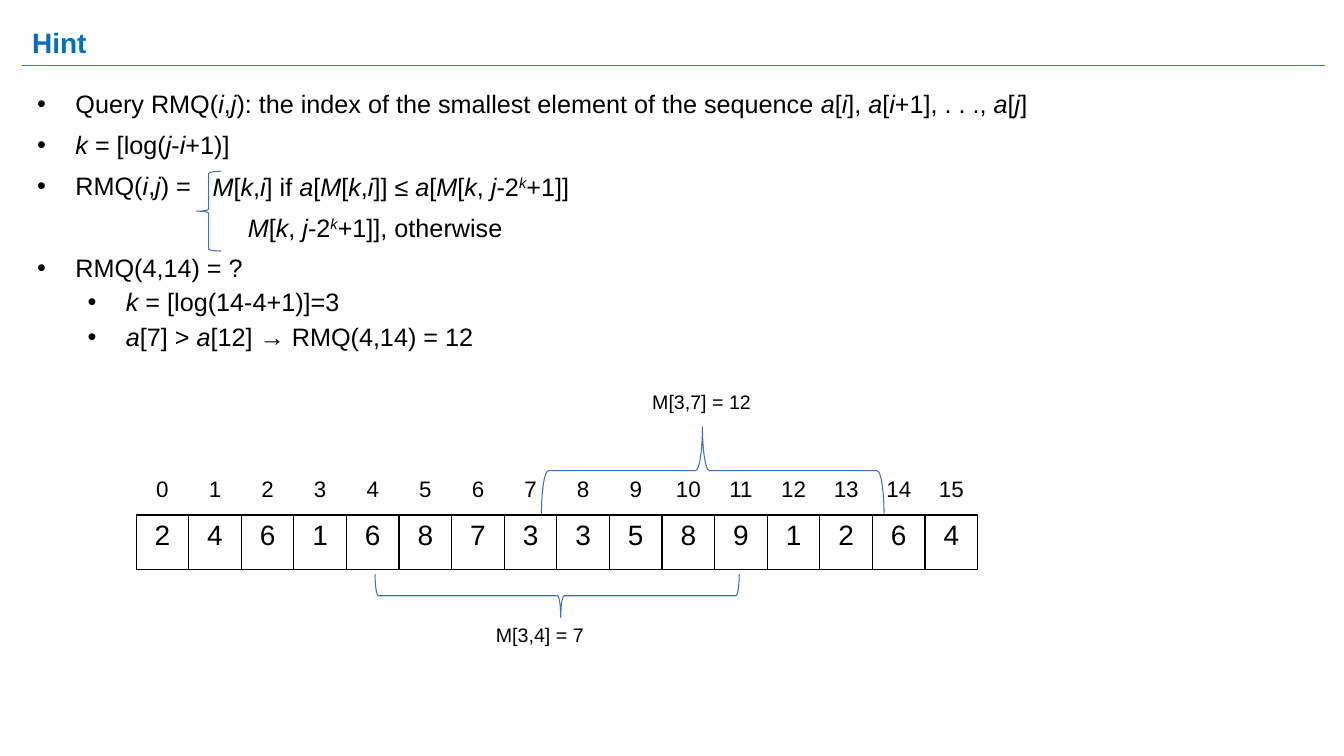
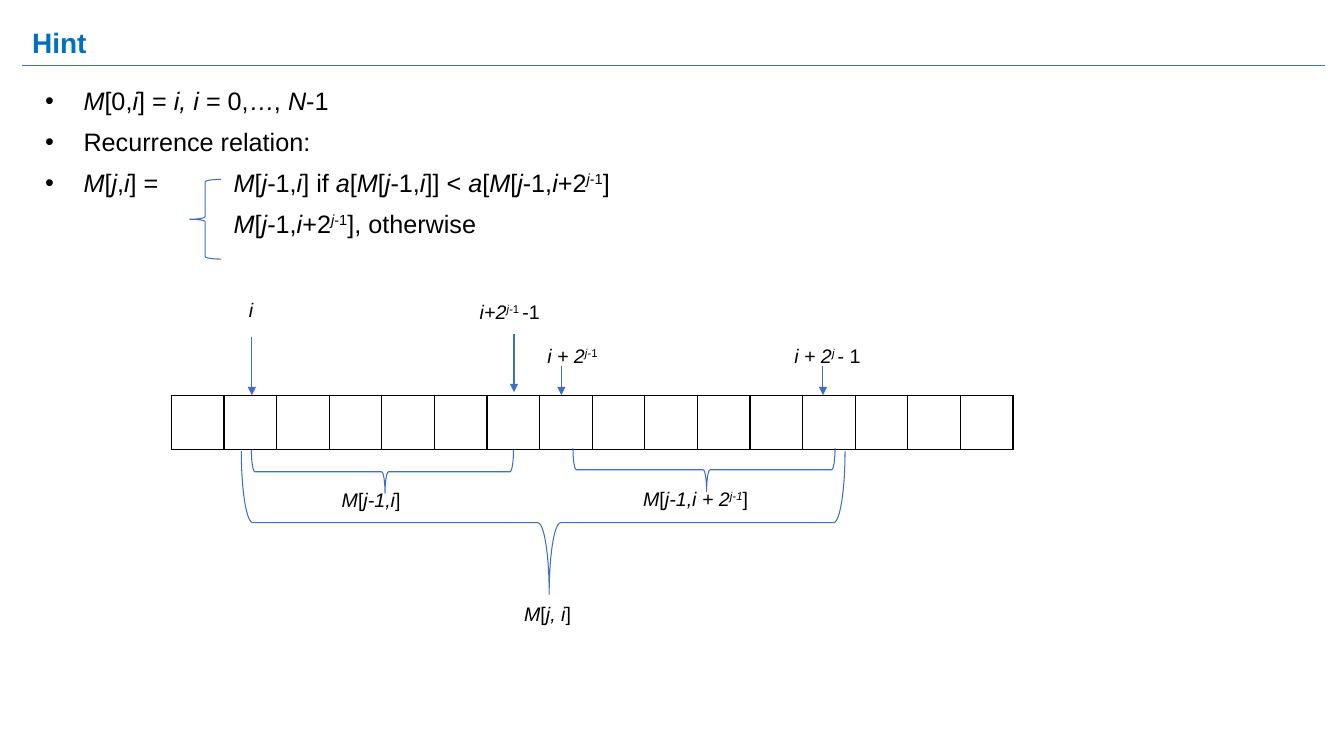
import lxml.etree
import pptx
import pptx.dml.color
import pptx.enum.shapes
import pptx.enum.text
import pptx.oxml.ns
import pptx.util

COLORS = {"title": "0070C0", "text": "000000", "rule": "4472C4", "brace": "3F6FC3"}
FONT = "Arial"
SHAPE = pptx.enum.shapes.MSO_SHAPE
CENTER = pptx.enum.text.PP_ALIGN.CENTER
MIDDLE = pptx.enum.text.MSO_ANCHOR.MIDDLE
ROWS = 75
CELLS, CELL_W = 16, 5.22
BODY_SIZE, LABEL_SIZE = 18, 14


def rgb(name):
    """Return the named colour."""
    return pptx.dml.color.RGBColor.from_string(COLORS[name])


def sub(parent, tag, **attrs):
    """Append a drawing element to parent."""
    return lxml.etree.SubElement(parent, pptx.oxml.ns.qn("a:" + tag), attrs)


class Deck:
    """Hold the style and the current slide on a grid 75 rows high with square cells."""

    def __init__(self):
        """Open a wide presentation."""
        self.prs = pptx.Presentation()
        self.prs.slide_width = pptx.util.Inches(13.33)
        self.prs.slide_height = pptx.util.Inches(7.5)
        self.unit = self.prs.slide_height / ROWS

    def grid(self, *lengths):
        """Convert grid lengths to EMU."""
        return [pptx.util.Emu(round(n * self.unit)) for n in lengths]

    def slide(self, title):
        """Start a slide with its title and rule."""
        self.s = self.prs.slides.add_slide(self.prs.slide_layouts[6])
        tf = self.frame(2.2, 1.5, 129.2, 5.9)
        tf.vertical_anchor = MIDDLE
        p = self.para(tf, title, 20, "title", bold=True)
        p.line_spacing = 0.9
        self.line(2.2, 6.5, 131.4, 6.5, "rule")

    def frame(self, x, y, w, h):
        """Add a wrapping text box and return its text frame."""
        tf = self.s.shapes.add_textbox(*self.grid(x, y, w, h)).text_frame
        tf.word_wrap = True
        return tf

    def para(self, tf, text, size, color="text", bold=False):
        """Add a paragraph in which * toggles italic and ^ toggles superscript."""
        p = tf.paragraphs[0]
        if p.runs:
            p = tf.add_paragraph()
        raised = False
        for n, part in enumerate(text.split("*")):
            for m, piece in enumerate(part.split("^")):
                raised ^= m > 0
                if piece:
                    r = p.add_run()
                    r.text = piece
                    r.font.name, r.font.size = FONT, pptx.util.Pt(size)
                    r.font.bold, r.font.italic = bold, n % 2 == 1
                    r.font.color.rgb = rgb(color)
                    if raised:
                        r.font._element.set("baseline", "30000")
        return p

    def body(self, tf, text, before=10, margin=0, bullet=False):
        """Add a body paragraph, indented and bulleted as asked."""
        p = self.para(tf, text, BODY_SIZE)
        p.line_spacing, p.space_before = 0.9, pptx.util.Pt(before)
        pPr = p._p.get_or_add_pPr()
        pPr.set("marL", str(pptx.util.Inches(margin)))
        if bullet:
            pPr.set("indent", str(pptx.util.Inches(-0.38)))
            sub(sub(pPr, "buClr"), "srgbClr", val=COLORS["text"])
            sub(pPr, "buFont", typeface=FONT)
            sub(pPr, "buChar", char="•")

    def bullets(self, x, y, w, h, items):
        """Add a list of (text, level, space before)."""
        tf = self.frame(x, y, w, h)
        for text, level, before in items:
            self.body(tf, text, before, 0.5 + 0.5 * level, True)

    def cases(self, x, y, first, second, margin=0):
        """Add the two cases of a definition."""
        tf = self.frame(x, y, 60, 8)
        self.body(tf, first)
        self.body(tf, second, margin=margin)

    def label(self, x, y, w, text):
        """Add a small label."""
        self.para(self.frame(x, y, w, 4), text, LABEL_SIZE)

    def line(self, x1, y1, x2, y2, color, arrow=False):
        """Add a thin line, with an arrowhead at its end if asked."""
        c = self.s.shapes.add_connector(
            pptx.enum.shapes.MSO_CONNECTOR.STRAIGHT, *self.grid(x1, y1, x2, y2))
        c.line.color.rgb, c.line.width = rgb(color), pptx.util.Pt(0.75)
        if arrow:
            sub(c.line._get_or_add_ln(), "tailEnd", type="triangle")
        sub(c._element.spPr, "effectLst")

    def brace(self, x, y, w, h, turn=0, tip=0.5):
        """Add a brace that covers the given area after turning."""
        fw, fh = (h, w) if turn else (w, h)
        sp = self.s.shapes.add_shape(SHAPE.LEFT_BRACE, *self.grid(
            x + (w - fw) / 2, y + (h - fh) / 2, fw, fh))
        sp.rotation = turn
        sp.adjustments[0], sp.adjustments[1] = 0.08, tip
        sp.shadow.inherit = False
        sp.fill.background()
        sp.line.color.rgb, sp.line.width = rgb("brace"), pptx.util.Pt(0.75)

    def span(self, left, first, last, y, h, turn=270, tip=0.51):
        """Add a brace along the array from one cell position to another."""
        self.brace(left + first * CELL_W, y, (last - first) * CELL_W, h, turn, tip)

    def array(self, x, y, h, values=(), size=20, border=True):
        """Add a one-row table of equal cells."""
        tb = self.s.shapes.add_table(1, CELLS, *self.grid(x, y, CELLS * CELL_W, h)).table
        tb.first_row = tb.horz_banding = False
        for col in tb.columns:
            col.width = self.grid(CELL_W)[0]
        for cell in tb.iter_cells():
            for side in "LRTB":
                ln = sub(cell._tc.get_or_add_tcPr(), "ln" + side, w="12700")
                if border:
                    sub(sub(ln, "solidFill"), "srgbClr", val=COLORS["text"])
                else:
                    sub(ln, "noFill")
            cell.fill.background()
        for cell, value in zip(tb.iter_cells(), values):
            self.para(cell.text_frame, str(value), size).alignment = CENTER


def query_slide(d):
    """Build the slide on answering a query."""
    left = 13.5
    d.slide("Hint")
    d.bullets(1.5, 8.6, 128.9, 63.2, [
        ("Query RMQ(*i*,*j*): the index of the smallest element of the sequence "
         "*a*[*i*], *a*[*i*+1], . . ., *a*[*j*]", 0, 10),
        ("*k* = [log(*j*-*i*+1)]", 0, 10),
        ("RMQ(*i*,*j*) =", 0, 10),
        ("RMQ(4,14) = ?", 0, 39),
        ("*k* = [log(14-4+1)]=3", 1, 5),
        ("*a*[7] > *a*[12] → RMQ(4,14) = 12", 1, 5)])
    d.cases(20.1, 16.8, "*M*[*k*,*i*] if *a*[*M*[*k*,*i*]] ≤ *a*[*M*[*k*, *j*-2^*k*^+1]]",
            "*M*[*k*, *j*-2^*k*^+1]], otherwise", margin=0.35)
    d.array(left, 51.1, 5.4, [2, 4, 6, 1, 6, 8, 7, 3, 3, 5, 8, 9, 1, 2, 6, 4])
    d.array(left, 46.9, 4.7, range(CELLS), 16, border=False)
    d.brace(19.5, 17, 2.4, 7.9)
    d.span(left, 4.54, 11.46, 56.95, 4.3)
    d.span(left, 7.7, 14.21, 42.35, 8.7, 90, 0.53)
    d.label(48.2, 61.3, 14.2, "M[3,4] = 7")
    d.label(63.7, 38.2, 16.9, "M[3,7] = 12")


def recurrence_slide(d):
    """Build the slide on the recurrence."""
    left, top = 17, 39.2
    d.slide("Hint")
    d.bullets(2.3, 8.3, 129.2, 54.7, [
        ("*M*[0,*i*] = *i, i* = 0,…, *N*-1", 0, 10),
        ("Recurrence relation:", 0, 10),
        ("*M*[*j*,*i*] =", 0, 10)])
    d.cases(22.2, 16.4,
            "*M*[*j*-1,*i*] if *a*[*M*[*j*-1,*i*]] < *a*[*M*[*j*-1,*i*+2^*j*-1^]",
            "*M*[*j*-1,*i*+2^*j*-1^], otherwise")
    d.brace(18.8, 17.8, 3.1, 7.9)
    d.array(left, top, 5.4)
    for x, y, w, text in [
            (23.7, 29.1, 5.5, "*i*"),
            (46.6, 29.3, 15, "*i+2^j-*1 ^-1"),
            (53.3, 33.6, 15, "*i + 2^j-*1^"),
            (77.8, 33.6, 15, "*i + 2^j ^*- 1"),
            (32.9, 47.9, 15, "*M*[*j-1,i*]"),
            (62.8, 47.8, 18.9, "*M*[*j-1,i + 2^j-1^*]"),
            (51, 59.2, 15, "*M*[*j, i*]")]:
        d.label(x, y, w, text)
    for pos, start, end in [(1.53, 33.4, top), (6.51, 33.1, 38.9),
                            (7.41, 36.3, top), (12.38, 36.3, top)]:
        x = left + pos * CELL_W
        d.line(x, start, x, end, "brace", arrow=True)
    for first, last, y, h in [(1.52, 6.5, 44.65, 4.3), (7.63, 12.61, 44.45, 4.3),
                              (1.33, 12.8, 44.75, 14.2)]:
        d.span(left, first, last, y, h)


def main():
    """Build and save the deck."""
    d = Deck()
    query_slide(d)
    recurrence_slide(d)
    d.prs.save("out.pptx")


if __name__ == "__main__":
    main()
